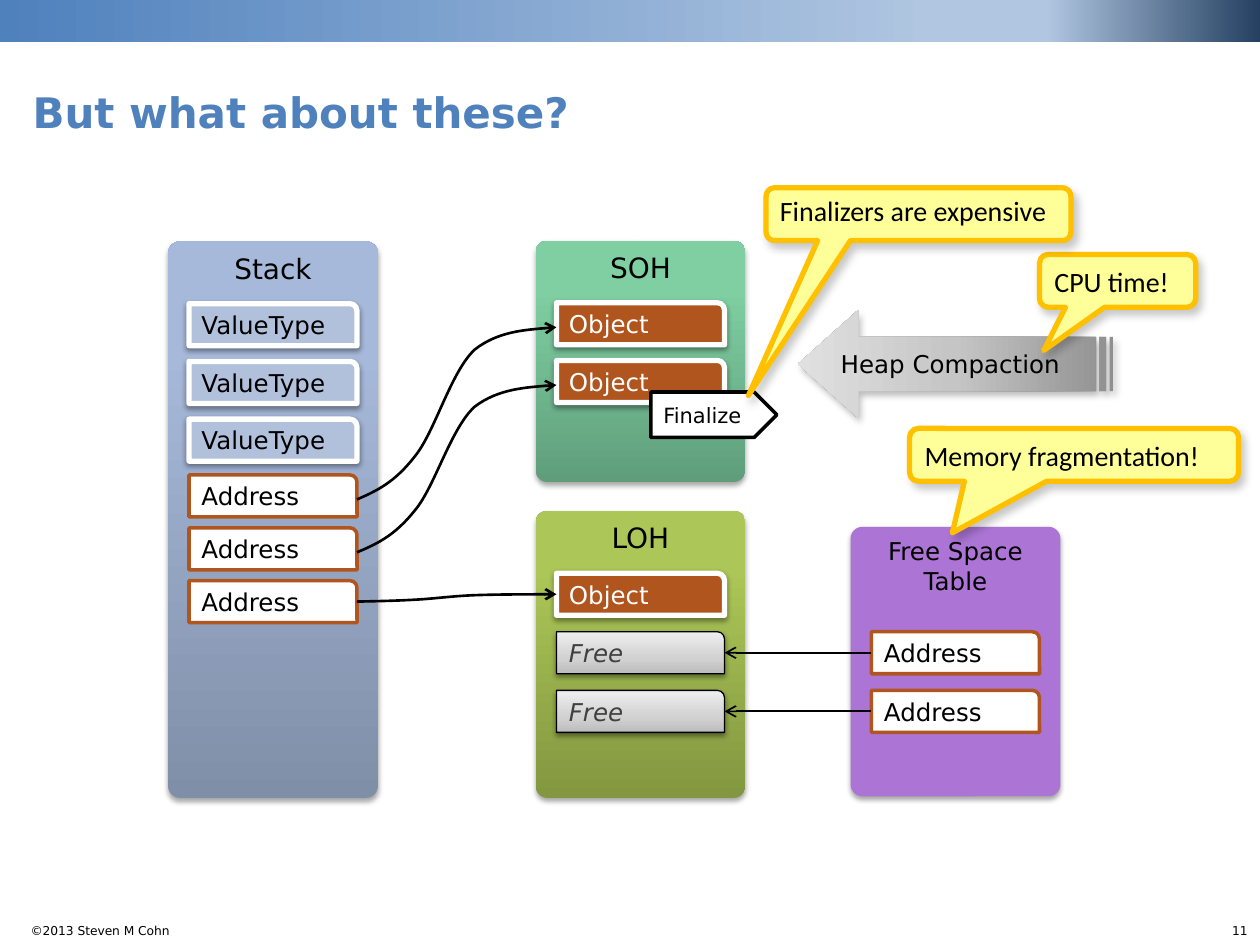
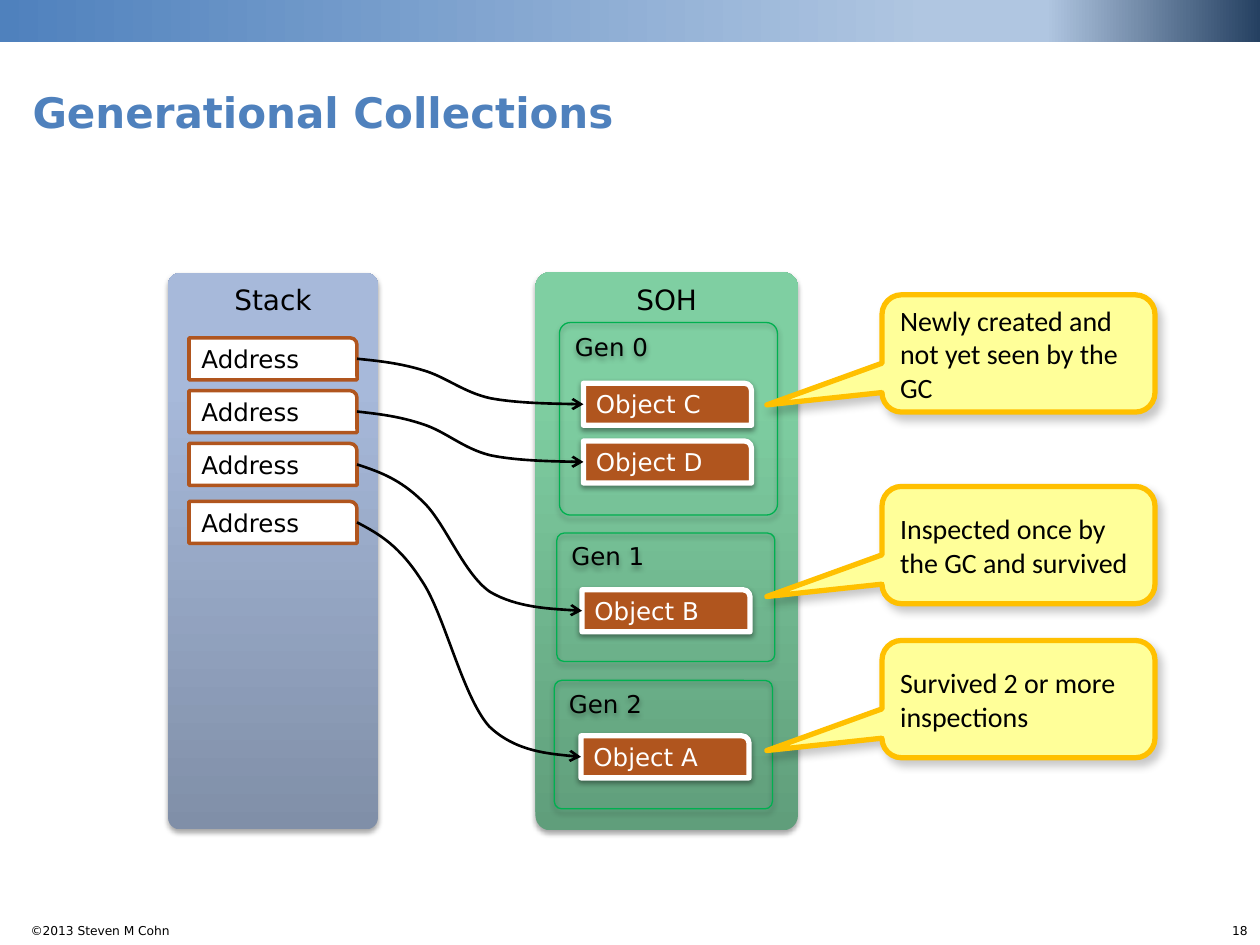
from dataclasses import dataclass
from math import cos, radians, sin

from lxml import etree
from pptx import Presentation
from pptx.dml.color import RGBColor
from pptx.enum.shapes import MSO_CONNECTOR, MSO_SHAPE
from pptx.enum.text import MSO_ANCHOR, PP_ALIGN
from pptx.oxml.ns import qn
from pptx.util import Pt

RECTANGLE = MSO_SHAPE.RECTANGLE
ROUNDED = MSO_SHAPE.ROUNDED_RECTANGLE
ONE_ROUND_CORNER = MSO_SHAPE.ROUND_1_RECTANGLE
CALLOUT = MSO_SHAPE.ROUNDED_RECTANGULAR_CALLOUT
STRIPED_ARROW = MSO_SHAPE.STRIPED_RIGHT_ARROW
PENTAGON = MSO_SHAPE.PENTAGON
STRAIGHT = MSO_CONNECTOR.STRAIGHT
TOP, MIDDLE, BOTTOM = MSO_ANCHOR.TOP, MSO_ANCHOR.MIDDLE, MSO_ANCHOR.BOTTOM
LEFT, CENTER, RIGHT = PP_ALIGN.LEFT, PP_ALIGN.CENTER, PP_ALIGN.RIGHT


@dataclass(frozen=True)
class Theme:
    font: str = "DejaVu Sans"
    note_font: str = "Calibri"
    title_size: int = 24
    heading_size: int = 16
    label_size: int = 14
    tag_size: int = 12
    footer_size: int = 7
    black: str = "000000"
    white: str = "FFFFFF"
    title: str = "4F81BD"
    rust: str = "B0551E"
    value: str = "B2C1DB"
    free_text: str = "404040"
    purple: str = "AC75D5"
    gen_line: str = "00B050"
    note: str = "FFFF99"
    note_line: str = "FFC000"
    # Gradients: (position in percent, colour)
    band: tuple = ((0, "4F81BD"), (74, "B0C6E1"), (83, "B0C6E1"), (100, "254061"))
    stack: tuple = ((0, "808FA8"), (80, "A7B9DA"), (100, "A6BADC"))
    small_heap: tuple = ((0, "609E7B"), (80, "7FCFA2"), (100, "7ED2A2"))
    large_heap: tuple = ((0, "839740"), (80, "ACC657"), (100, "AEC955"))
    free: tuple = ((0, "BDBDBD"), (35, "D1D1D1"), (100, "EEEEEE"))
    compaction: tuple = ((0, "909090"), (50, "C5C5C5"), (100, "E0E0E0"))
    # Shadows: opacity in percent, blur, distance, angle
    panel_shadow: tuple = (35, 3.1, 1.8, 90)
    box_shadow: tuple = (38, 3.1, 1.6, 90)
    note_shadow: tuple = (22, 5, 4, 56)
    arrow_shadow: tuple = (25, 4, 3, 58)


THEME = Theme()

# Columns and sizes, in points
STACK_X, HEAP_X, TABLE_X = 96, 306, 486
PANEL_WIDTH, PANEL_INDENT = 120, 12
BOX_WIDTH, BOX_HEIGHT = 96, 24
OBJECT_STEP, ADDRESS_STEP = 33, 30.2

# Control points of the three Bezier pieces of an S-curve, as shares of its box
S_CURVE = [(0.1, 0.05), (0.19, 0.1), (0.29, 0.25),
           (0.39, 0.39), (0.47, 0.74), (0.59, 0.87),
           (0.71, 0.98), (0.98, 1), (1, 1)]


def color(code):
    return RGBColor.from_string(code)


def add_child(parent, tag, **attributes):
    child = etree.SubElement(parent, qn(tag))
    for name, value in attributes.items():
        child.set(name, str(value))
    return child


def paint(shape, fill, angle=90):
    """Fill with a colour, with gradient stops, or not at all."""
    if fill is None:
        shape.fill.background()
    elif isinstance(fill, str):
        shape.fill.solid()
        shape.fill.fore_color.rgb = color(fill)
    else:
        shape.fill.gradient()
        shape.fill.gradient_angle = angle
        stops = shape.element.spPr.find(f".//{qn('a:gsLst')}")
        for stop in list(stops):
            stops.remove(stop)
        for position, code in fill:
            stop = add_child(stops, "a:gs", pos=position * 1000)
            add_child(stop, "a:srgbClr", val=code)


def outline(shape, code, width):
    if code is None:
        shape.line.fill.background()
    else:
        shape.line.color.rgb = color(code)
        shape.line.width = Pt(width)


def cast_shadow(shape, shadow):
    shape.shadow.inherit = False
    if shadow:
        opacity, blur, distance, angle = shadow
        effects = shape.element.spPr.find(qn("a:effectLst"))
        outer = add_child(effects, "a:outerShdw", blurRad=Pt(blur), dist=Pt(distance),
                          dir=angle * 60000, algn="ctr", rotWithShape=0)
        tint = add_child(outer, "a:srgbClr", val=THEME.black)
        add_child(tint, "a:alpha", val=opacity * 1000)


def style(shape, fill=None, line=None, width=1, shadow=None, angle=90):
    paint(shape, fill, angle)
    outline(shape, line, width)
    cast_shadow(shape, shadow)


def write(shape, text, size, code=THEME.black, font=THEME.font, align=LEFT,
          anchor=TOP, bold=False, italic=False, wrap=True):
    frame = shape.text_frame
    frame.text = text
    frame.word_wrap = wrap
    frame.vertical_anchor = anchor
    para = frame.paragraphs[0]
    para.alignment = align
    span = para.runs[0].font
    span.name, span.size, span.color.rgb = font, Pt(size), color(code)
    span.bold, span.italic = bold, italic


def add_preset(page, kind, x, y, width, height, adjustments=()):
    shape = page.shapes.add_shape(kind, Pt(x), Pt(y), Pt(width), Pt(height))
    for index, value in enumerate(adjustments):
        shape.adjustments[index] = value
    return shape


def add_label(page, x, y, width, height, text, size, **look):
    write(page.shapes.add_textbox(Pt(x), Pt(y), Pt(width), Pt(height)), text, size, **look)


def add_page(deck, title, number):
    """Add a slide with band, footer and title."""
    page = deck.slides.add_slide(deck.slide_layouts[6])
    add_label(page, 8, 524, 96, 16, "©2013 Steven M Cohn", THEME.footer_size,
              align=RIGHT, wrap=False)
    add_label(page, 691, 524, 29, 16, str(number), THEME.footer_size,
              align=RIGHT, wrap=False)
    band = add_preset(page, RECTANGLE, 0, 0, 720, 24)
    style(band, THEME.band, angle=0)
    add_label(page, 11.5, 19, 511, 62.5, title, THEME.title_size,
              code=THEME.title, anchor=BOTTOM, bold=True)
    return page


def add_panel(page, x, y, height, text, fill, width=PANEL_WIDTH, size=THEME.heading_size):
    panel = add_preset(page, ROUNDED, x, y, width, height, [0.057])
    style(panel, fill, shadow=THEME.panel_shadow)
    write(panel, text, size, align=CENTER)


def add_generation(page, x, y, height, text):
    frame = add_preset(page, ROUNDED, x, y, 124.6, height, [0.057])
    style(frame, None, THEME.gen_line, 0.75, THEME.panel_shadow)
    write(frame, text, THEME.label_size)


def add_box(page, x, y, text, fill, line, width, shadow=THEME.box_shadow,
            code=THEME.black, italic=False):
    box = add_preset(page, ONE_ROUND_CORNER, x, y, BOX_WIDTH, BOX_HEIGHT)
    style(box, fill, line, width, shadow)
    write(box, text, THEME.label_size, code=code, italic=italic)
    return box


def add_value(page, x, y):
    return add_box(page, x, y, "ValueType", THEME.value, THEME.white, 3)


def add_address(page, x, y):
    return add_box(page, x, y, "Address", THEME.white, THEME.rust, 2, shadow=None)


def add_object(page, x, y, text="Object"):
    return add_box(page, x, y, text, THEME.rust, THEME.white, 3, code=THEME.white)


def add_free(page, x, y):
    return add_box(page, x, y, "Free", THEME.free, THEME.black, 0.75,
                   code=THEME.free_text, italic=True)


def add_arrowhead(line):
    add_child(line.line._get_or_add_ln(), "a:tailEnd", type="arrow")


def add_reference(page, source, target, drop=0):
    """Draw an S-curve from the right of source to the left of target."""
    start_x, end_x = source.left + source.width, target.left
    start_y = source.top + source.height // 2 + Pt(drop)
    end_y = target.top + target.height // 2 + Pt(drop)
    points = [(start_x + across * (end_x - start_x), start_y + down * (end_y - start_y))
              for across, down in S_CURVE]
    builder = page.shapes.build_freeform(start_x, start_y)
    builder.add_line_segments(points, close=False)
    curve = builder.convert_to_shape()
    steps = curve.element.findall(f".//{qn('a:lnTo')}")
    for first in range(0, len(steps), 3):
        bezier = etree.Element(qn("a:cubicBezTo"))
        steps[first].addprevious(bezier)
        for step in steps[first:first + 3]:
            bezier.append(step[0])
            step.getparent().remove(step)
    style(curve, None, THEME.black, 1.5)
    add_arrowhead(curve)


def add_link(page, source, target):
    """Draw a straight arrow from the left of source to the right of target."""
    link = page.shapes.add_connector(STRAIGHT, 0, 0, 0, 0)
    link.begin_connect(source, 1)
    link.end_connect(target, 3)
    outline(link, THEME.black, 1)
    add_arrowhead(link)
    add_child(link.element.spPr, "a:effectLst")


def finish_note(note, text, anchor=MIDDLE):
    style(note, THEME.note, THEME.note_line, 3, THEME.note_shadow)
    write(note, text, THEME.heading_size, font=THEME.note_font, anchor=anchor)


def add_note(page, x, y, width, height, tip, text):
    note = add_preset(page, CALLOUT, x, y, width, height, [*tip, 0.167])
    finish_note(note, text)


def add_slim_note(page, left, top, right, bottom, tail, text, radius=5):
    """Draw a rounded callout whose tail is given as three points."""
    points = list(tail)
    corners = [(left + radius, bottom - radius, 90), (left + radius, top + radius, 180),
               (right - radius, top + radius, 270), (right - radius, bottom - radius, 0)]
    for x, y, start in corners:
        for turn in range(0, 91, 15):
            angle = radians(start + turn)
            points.append((x + radius * cos(angle), y + radius * sin(angle)))
    points = [(Pt(x), Pt(y)) for x, y in points]
    builder = page.shapes.build_freeform(*points[0])
    builder.add_line_segments(points[1:], close=True)
    note = builder.convert_to_shape()
    finish_note(note, text, TOP)
    note.text_frame.margin_left = Pt(18)


def add_compaction_arrow(page):
    arrow = add_preset(page, STRIPED_ARROW, 456, 177, 180, 62, [0.5, 0.558])
    arrow.element.spPr.find(qn("a:xfrm")).set("flipH", "1")
    style(arrow, THEME.compaction, shadow=THEME.arrow_shadow, angle=0)
    write(arrow, "Heap Compaction", THEME.label_size, anchor=MIDDLE)


def add_finalize_tag(page):
    tag = add_preset(page, PENTAGON, 372, 224, 72, 26)
    style(tag, THEME.white, THEME.black, 2)
    write(tag, "Finalize", THEME.tag_size, anchor=MIDDLE)


def build_heap_costs(deck):
    page = add_page(deck, "But what about these?", 11)
    stack_box, heap_box, table_box = (x + PANEL_INDENT for x in (STACK_X, HEAP_X, TABLE_X))
    add_panel(page, TABLE_X, 301, 154, "Free Space Table", THEME.purple, size=THEME.label_size)
    add_panel(page, HEAP_X, 137.5, 138, "SOH", THEME.small_heap)
    add_panel(page, STACK_X, 138, 318, "Stack", THEME.stack)
    add_panel(page, HEAP_X, 292, 164, "LOH", THEME.large_heap)

    objects = [add_object(page, heap_box, 173 + row * OBJECT_STEP) for row in range(2)]
    objects.append(add_object(page, heap_box, 327.6))
    for row in range(3):
        add_value(page, stack_box, 173.5 + row * OBJECT_STEP)
    for row, target in enumerate(objects):
        address = add_address(page, stack_box, 271.4 + row * ADDRESS_STEP)
        add_reference(page, address, target, drop=2 if row < 2 else 0)
    for row in range(2):
        y = 361 + row * 33.5
        add_link(page, add_address(page, table_box, y), add_free(page, heap_box, y))

    add_compaction_arrow(page)
    add_note(page, 594, 145.4, 89.3, 30.2, (-0.473, 1.319), "CPU time!")
    add_note(page, 519.8, 244.8, 188, 30.2, (-0.37, 1.477), "Memory fragmentation!")
    add_finalize_tag(page)
    add_slim_note(page, 437.8, 107.3, 612, 137.5,
                  [(486, 137.5), (427.7, 226), (467.3, 137.5)], "Finalizers are expensive")


def build_generations(deck):
    page = add_page(deck, "Generational Collections", 18)
    add_panel(page, HEAP_X, 155.5, 319, "SOH", THEME.small_heap, width=150)
    add_panel(page, STACK_X, 156, 318, "Stack", THEME.stack)
    add_generation(page, 319.7, 184.3, 110, "Gen 0")
    add_generation(page, 318.2, 304.6, 73.4, "Gen 1")
    add_generation(page, 316.8, 388.8, 73.4, "Gen 2")

    references = [(193, "Object C", 333.4, 219), (223.2, "Object D", 333.4, 252),
                  (253.4, "Object B", 332.6, 337), (286.5, "Object A", 332, 420.5)]
    for address_y, text, x, y in references:
        address = add_address(page, STACK_X + PANEL_INDENT, address_y)
        add_reference(page, address, add_object(page, x, y, text))

    notes = [(168.5, "Newly created and not yet seen by the GC"),
             (278, "Inspected once by the GC and survived"),
             (366, "Survived 2 or more inspections")]
    for y, text in notes:
        add_note(page, 504, y, 156, 67, (-0.922, 0.439), text)


def main():
    deck = Presentation()
    deck.slide_width, deck.slide_height = Pt(720), Pt(540)
    build_heap_costs(deck)
    build_generations(deck)
    deck.save("out.pptx")


if __name__ == "__main__":
    main()
